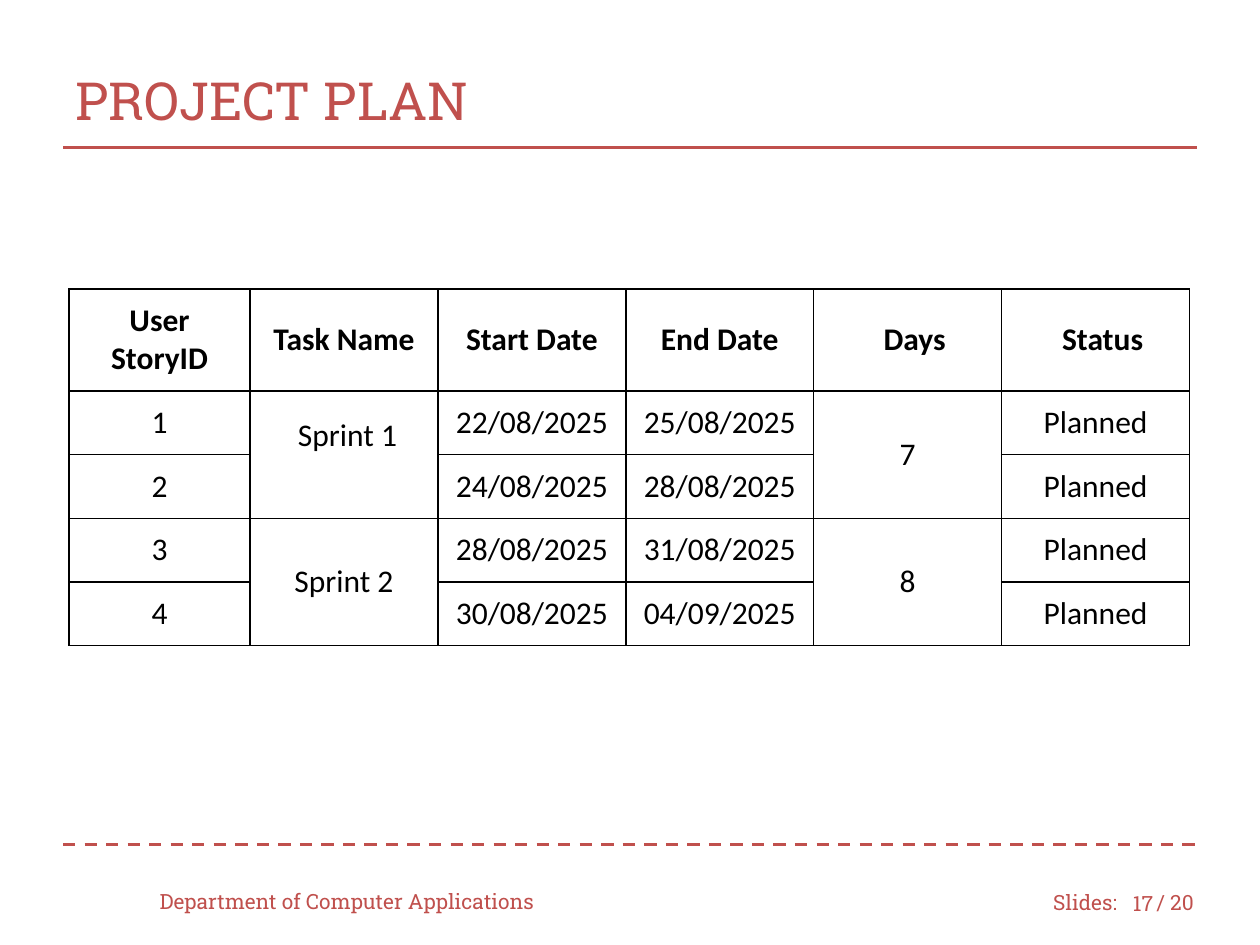
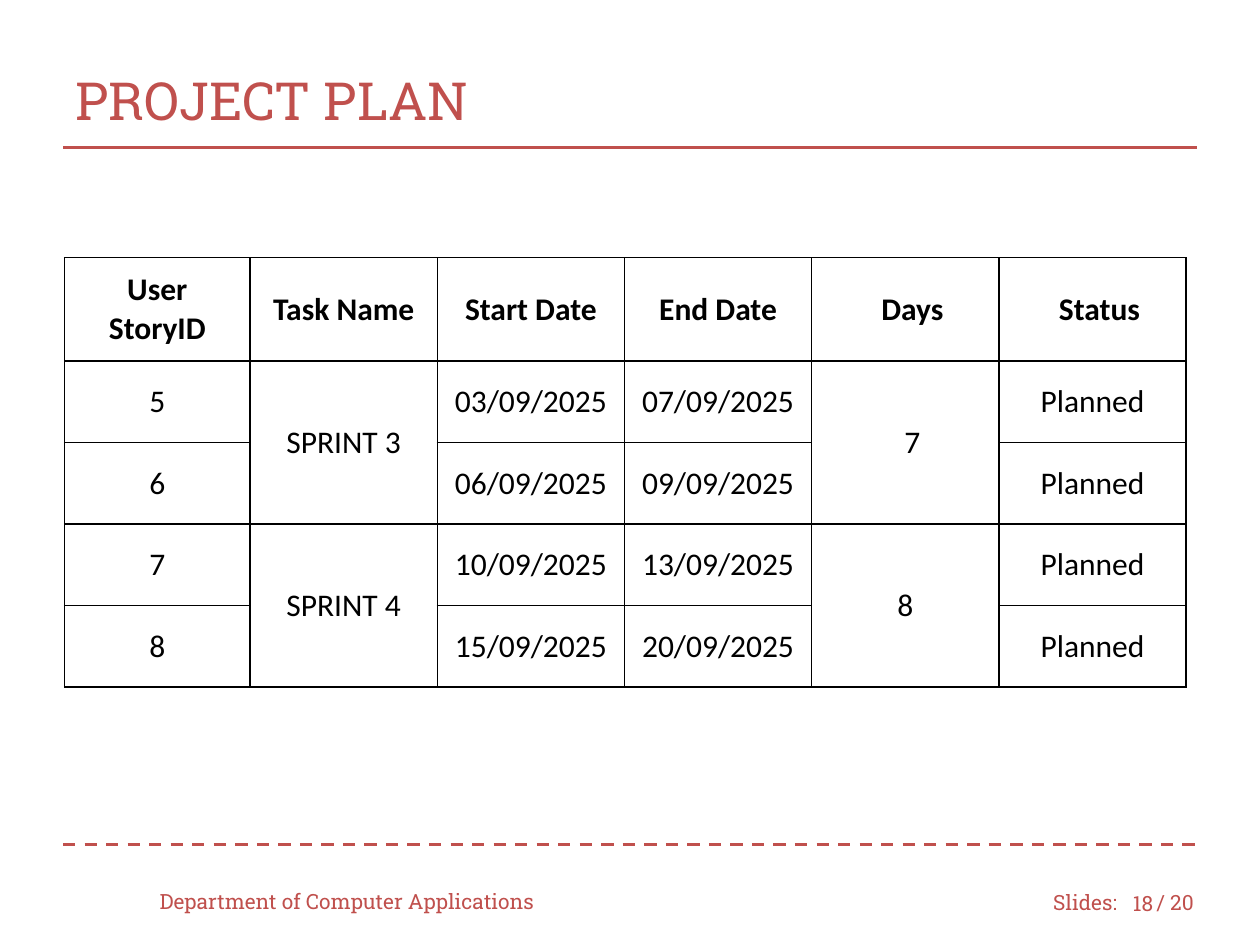
"""Build the two project plan slides with their sprint tables."""
from lxml import etree
from pptx import Presentation
from pptx.dml.color import RGBColor
from pptx.enum.dml import MSO_LINE
from pptx.enum.shapes import MSO_CONNECTOR
from pptx.enum.text import MSO_ANCHOR, PP_ALIGN
from pptx.oxml.ns import qn
from pptx.util import Pt

RED = RGBColor(0xC0, 0x50, 0x4D)
BLACK = RGBColor(0, 0, 0)
WHITE = RGBColor(0xFF, 0xFF, 0xFF)
STRAIGHT = MSO_CONNECTOR.STRAIGHT
DASH = MSO_LINE.DASH
MIDDLE = MSO_ANCHOR.MIDDLE
LEFT, CENTER, RIGHT = PP_ALIGN.LEFT, PP_ALIGN.CENTER, PP_ALIGN.RIGHT

SLAB = "Roboto Slab"
BODY = "Calibri"
CELL_MARGIN = 7.2
TITLE_ONLY = 5
TASK, DAYS, STATUS = 1, 4, 5
HEADINGS = ("User\nStoryID", "Task Name", "Start Date", "End Date", "Days", "Status")
HEADING_SHIFTS = {DAYS: 8, STATUS: 8}

PLANS = (
    {
        "number": "17",
        "position": (39.5, 165),
        "widths": (103.4, 107.4),
        "heights": (58.4, 36.4),
        "sprints": (
            ("Sprint 1", "7", (("1", "22/08/2025", "25/08/2025"),
                               ("2", "24/08/2025", "28/08/2025"))),
            ("Sprint 2", "8", (("3", "28/08/2025", "31/08/2025"),
                               ("4", "30/08/2025", "04/09/2025"))),
        ),
        "shifts": {(1, TASK): (4, 22)},
    },
    {
        "number": "18",
        "position": (36.9, 147.3),
        "widths": (106, 107),
        "heights": (59, 46.6),
        "sprints": (
            ("SPRINT 3", "7", (("5", "03/09/2025", "07/09/2025"),
                               ("6", "06/09/2025", "09/09/2025"))),
            ("SPRINT 4", "8", (("7", "10/09/2025", "13/09/2025"),
                               ("8", "15/09/2025", "20/09/2025"))),
        ),
        "shifts": {(1, DAYS): (8, 0)},
    },
)


def write_text(frame, text, size=12, font=SLAB, color=RED, bold=False, align=LEFT):
    """Fill a text frame, one paragraph a line, in a single format."""
    frame.text = text
    for paragraph in frame.paragraphs:
        paragraph.alignment = align
        for run in paragraph.runs:
            run.font.size = Pt(size)
            run.font.name = font
            run.font.bold = bold
            run.font.color.rgb = color


def add_label(slide, text, left, top, width, align=LEFT):
    """Add one footer label."""
    box = slide.shapes.add_textbox(Pt(left), Pt(top), Pt(width), Pt(28.8))
    frame = box.text_frame
    frame.word_wrap = True
    frame.vertical_anchor = MIDDLE
    write_text(frame, text, align=align)


def add_rule(slide, top, dash=None):
    """Add a red rule across the slide."""
    rule = slide.shapes.add_connector(STRAIGHT, Pt(36), Pt(top), Pt(684), Pt(top))
    rule.line.color.rgb = RED
    rule.line.width = Pt(1.75)
    if dash:
        rule.line.dash_style = dash
    etree.SubElement(rule._element.spPr, qn("a:effectLst"))


def add_frame(slide, number):
    """Add the title, rules and footer that all slides share."""
    add_label(slide, "Slides:", 594.7, 501, 54)
    add_label(slide, "/ 20", 653.8, 501, 41.8)
    add_rule(slide, 482.4, DASH)
    add_rule(slide, 84.2)
    title = slide.shapes.title
    title.left, title.top, title.width, title.height = Pt(36), Pt(23.8), Pt(648), Pt(66.2)
    title.text_frame.vertical_anchor = MIDDLE
    write_text(title.text_frame, "PROJECT PLAN", size=30)
    add_label(slide, "Department of Computer Applications", 84.2, 500.4, 240)
    add_label(slide, number, 635.8, 501.8, 30.2, RIGHT)


def style_cell(cell):
    """Give a cell black borders, a white fill and even margins."""
    properties = cell._tc.get_or_add_tcPr()
    for side in ("lnL", "lnR", "lnT", "lnB"):
        border = etree.SubElement(properties, qn(f"a:{side}"), w=str(Pt(1)))
        fill = etree.SubElement(border, qn("a:solidFill"))
        etree.SubElement(fill, qn("a:srgbClr"), val=str(BLACK))
    cell.fill.solid()
    cell.fill.fore_color.rgb = WHITE
    cell.vertical_anchor = MIDDLE
    cell.margin_left = cell.margin_right = Pt(CELL_MARGIN)
    cell.margin_top = cell.margin_bottom = Pt(CELL_MARGIN)


def write_cell(cell, text, bold=False, shift=0, lift=0):
    """Write centred cell text, moved right or up by wider margins."""
    write_text(cell.text_frame, text, size=18, font=BODY, color=BLACK, bold=bold, align=CENTER)
    cell.margin_left = Pt(CELL_MARGIN + shift)
    cell.margin_bottom = Pt(CELL_MARGIN + lift)


def plan_entries(sprints):
    """Yield the row, column and text of each filled body cell."""
    row = 1
    for task, days, stories in sprints:
        yield row, TASK, task
        yield row, DAYS, days
        for story, start, end in stories:
            yield row, 0, story
            yield row, 2, start
            yield row, 3, end
            yield row, STATUS, "Planned"
            row += 1


def add_plan_table(slide, position, widths, heights, sprints, shifts):
    """Add the table of stories, with task and days merged for each sprint."""
    first_width, other_width = widths
    header_height, row_height = heights
    row_count = 1 + sum(len(stories) for _, _, stories in sprints)
    column_count = len(HEADINGS)
    table = slide.shapes.add_table(
        row_count, column_count, Pt(position[0]), Pt(position[1]),
        Pt(first_width + other_width * (column_count - 1)),
        Pt(header_height + row_height * (row_count - 1))).table
    table.first_row = table.horz_banding = False
    for index, column in enumerate(table.columns):
        column.width = Pt(other_width if index else first_width)
    for index, row in enumerate(table.rows):
        row.height = Pt(row_height if index else header_height)
    for cell in table.iter_cells():
        style_cell(cell)

    for column, heading in enumerate(HEADINGS):
        write_cell(table.cell(0, column), heading, bold=True,
                   shift=HEADING_SHIFTS.get(column, 0))
    for row, column, text in plan_entries(sprints):
        shift, lift = shifts.get((row, column), (0, 0))
        write_cell(table.cell(row, column), text, shift=shift, lift=lift)
    top = 1
    for _, _, stories in sprints:
        bottom = top + len(stories) - 1
        for column in (TASK, DAYS):
            table.cell(top, column).merge(table.cell(bottom, column))
        top = bottom + 1


def main():
    """Build and save the presentation."""
    presentation = Presentation()
    presentation.slide_width, presentation.slide_height = Pt(720), Pt(540)
    for plan in PLANS:
        slide = presentation.slides.add_slide(presentation.slide_layouts[TITLE_ONLY])
        add_frame(slide, plan["number"])
        add_plan_table(slide, plan["position"], plan["widths"], plan["heights"],
                       plan["sprints"], plan["shifts"])
    presentation.save("out.pptx")


if __name__ == "__main__":
    main()
